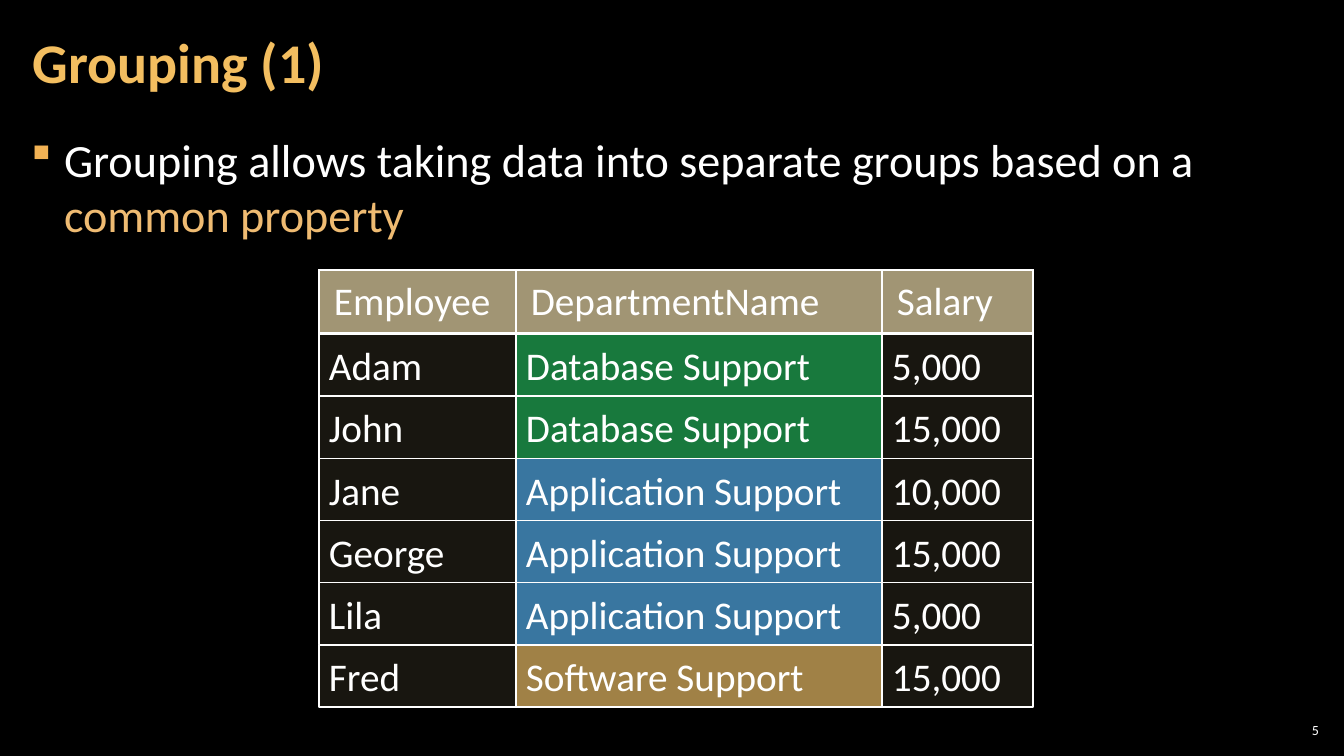
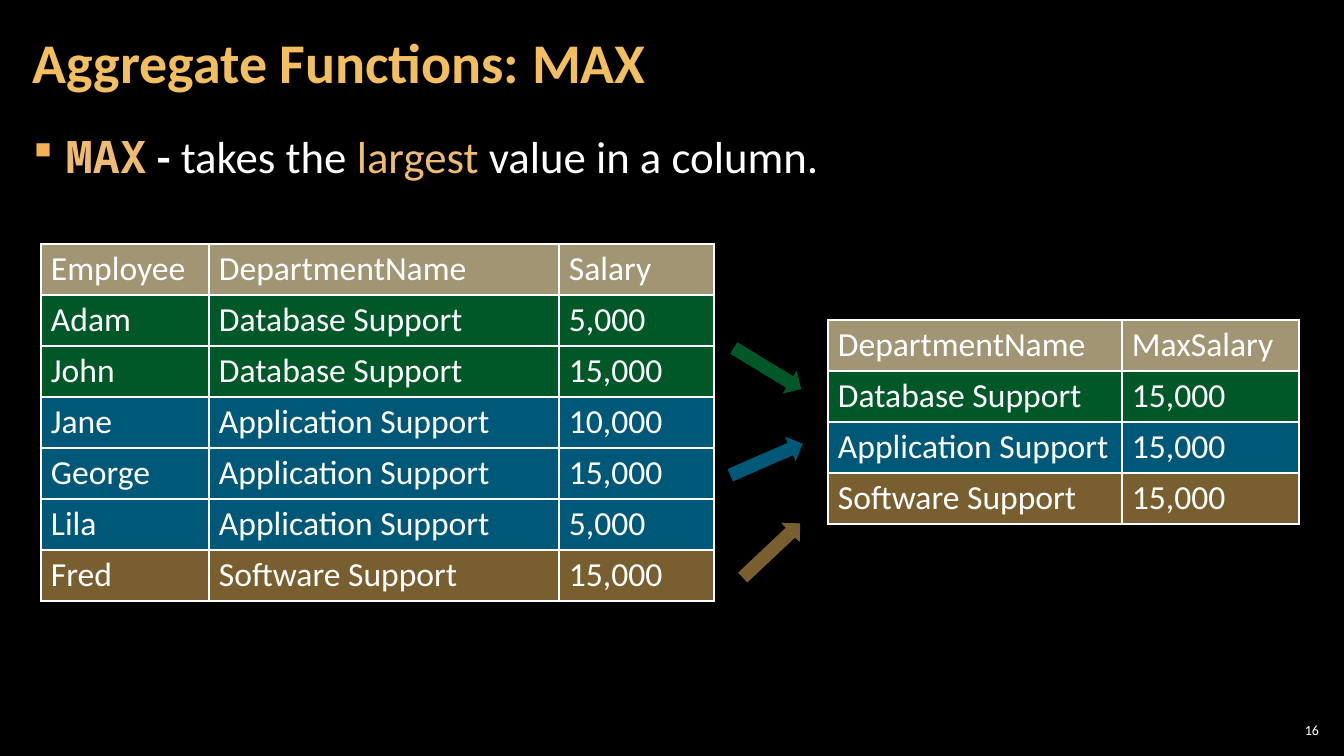
import pptx
import pptx.util
import pptx.dml.color
import pptx.enum.shapes
import pptx.enum.text
import pptx.oxml.ns
import lxml.etree
from dataclasses import dataclass
from itertools import accumulate, groupby


@dataclass(frozen=True)
class Theme:
    font: str = "Calibri"
    mono: str = "Noto Sans Mono"
    bullet_font: str = "Wingdings"
    background: str = "000000"
    text: str = "FFFFFF"
    title: str = "F3BE60"
    accent: str = "EFBB72"
    bullet: str = "F2B254"
    header: str = "A19574"
    veil: str = "7C7154"
    title_size: int = 40
    page_size: int = 10
    veil_opacity: int = 20
    band_opacity: int = 70
    row_opacity: int = 50


THEME = Theme()
WIDTH, HEIGHT = 1344, 756
PX = 12192000 / WIDTH

DATABASE, APPLICATION, SOFTWARE = (
    "Database Support", "Application Support", "Software Support")
BAND_COLORS = {DATABASE: "00B050", APPLICATION: "3BABFF", SOFTWARE: "F3BE60"}
ROW_COLORS = {DATABASE: "00B050", APPLICATION: "00B0F0", SOFTWARE: "F3BE60"}

EMPLOYEES = [
    ("Employee", "DepartmentName", "Salary"),
    ("Adam", DATABASE, "5,000"),
    ("John", DATABASE, "15,000"),
    ("Jane", APPLICATION, "10,000"),
    ("George", APPLICATION, "15,000"),
    ("Lila", APPLICATION, "5,000"),
    ("Fred", SOFTWARE, "15,000"),
]
MAXIMUMS = [
    ("DepartmentName", "MaxSalary"),
    (DATABASE, "15,000"),
    (APPLICATION, "15,000"),
    (SOFTWARE, "15,000"),
]
STAFF_COLUMNS = (197, 366, 151)

SLIDES = [
    {
        "title": "Grouping (1)",
        "page": "5",
        "body_at": (19, 127),
        "body_size": 33,
        "body": [
            ("Grouping allows taking data into separate groups based on a ", {}),
            ("common property", {"color": THEME.accent}),
        ],
        "tables": [
            {"at": (319, 270), "columns": STAFF_COLUMNS, "height": 63,
             "size": 28, "margins": (15, 8), "rows": EMPLOYEES[:1]},
        ],
        "banded_rows": [
            {"at": (319, 334), "columns": STAFF_COLUMNS, "height": 373,
             "size": 28, "rows": EMPLOYEES[1:]},
        ],
        "arrows": [],
    },
    {
        "title": "Aggregate Functions: MAX",
        "page": "16",
        "body_at": (21, 125),
        "body_size": 32,
        "body": [
            ("MAX", {"font": THEME.mono, "color": THEME.accent, "bold": True}),
            (" -", {"bold": True}),
            (" takes the ", {}),
            ("largest", {"color": THEME.accent}),
            (" value in a column.", {}),
        ],
        "tables": [
            {"at": (41, 244), "columns": (168, 350, 155), "height": 357,
             "size": 24, "margins": (10, 5), "rows": EMPLOYEES},
            {"at": (828, 320), "columns": (294, 177), "height": 204,
             "size": 24, "margins": (10, 5), "rows": MAXIMUMS},
        ],
        "banded_rows": [],
        "arrows": [
            (728, 355, 31.4, DATABASE),
            (727, 446, -23.6, APPLICATION),
            (732, 537, -43.3, SOFTWARE),
        ],
    },
]


def px(length):
    return pptx.util.Emu(round(length * PX))


def rgb(color):
    return pptx.dml.color.RGBColor.from_string(color)


def child(parent, tag, **attributes):
    return lxml.etree.SubElement(parent, pptx.oxml.ns.qn(tag), attributes)


def department_of(row):
    return next(text for text in row if text in ROW_COLORS)


def paint(fill, properties, color, opacity=100):
    fill.solid()
    fill.fore_color.rgb = rgb(color)
    if opacity < 100:
        tint = properties.find(".//" + pptx.oxml.ns.qn("a:srgbClr"))
        child(tint, "a:alpha", val=str(opacity * 1000))


def set_margins(target, across, down):
    target.margin_left = target.margin_right = px(across)
    target.margin_top = target.margin_bottom = px(down)


def add_span(para, text, size, color=THEME.text, font=THEME.font, bold=False):
    span = para.add_run()
    span.text = text
    span.font.name = font
    span.font.size = pptx.util.Pt(size)
    span.font.bold = bold
    span.font.color.rgb = rgb(color)


def add_box(page, left, top, width, height, across=12, anchor="MIDDLE"):
    box = page.shapes.add_textbox(px(left), px(top), px(width), px(height))
    frame = box.text_frame
    frame.word_wrap = True
    frame.vertical_anchor = getattr(pptx.enum.text.MSO_ANCHOR, anchor)
    set_margins(frame, across, 4)
    return frame.paragraphs[0]


def add_shape(shapes, kind, left, top, width, height, color, opacity):
    shape = shapes.add_shape(
        getattr(pptx.enum.shapes.MSO_SHAPE, kind),
        px(left), px(top), px(width), px(height))
    shape.shadow.inherit = False
    shape.line.fill.background()
    paint(shape.fill, shape._element.spPr, color, opacity)
    return shape


def add_title(page, text):
    para = add_box(page, 21, 4, 1055, 122)
    para.line_spacing = 0.9
    add_span(para, text, THEME.title_size, THEME.title, bold=True)


def add_page_number(page, text):
    para = add_box(page, 1275, 719, 48, 21, across=4)
    para.alignment = pptx.enum.text.PP_ALIGN.RIGHT
    add_span(para, text, THEME.page_size)


def add_body(page, at, size, spans):
    para = add_box(page, *at, 1301, 614, anchor="TOP")
    para.space_before = para.space_after = pptx.util.Pt(6)
    properties = para._p.get_or_add_pPr()
    properties.set("marL", str(px(33)))
    properties.set("indent", str(-px(33)))
    child(child(properties, "a:buClr"), "a:srgbClr", val=THEME.bullet)
    child(properties, "a:buFont", typeface=THEME.bullet_font)
    child(properties, "a:buChar", char="§")
    for text, style in spans:
        add_span(para, text, size, **style)


def add_borders(cell):
    properties = cell._tc.get_or_add_tcPr()
    for index, side in enumerate(("a:lnL", "a:lnR", "a:lnT", "a:lnB")):
        line = child(properties, side, w=str(pptx.util.Pt(1)))
        child(child(line, "a:solidFill"), "a:srgbClr", val=THEME.text)
        properties.insert(index, line)


def add_grid(page, at, columns, height, size, margins, rows):
    table = page.shapes.add_table(
        len(rows), len(columns), px(at[0]), px(at[1]),
        px(sum(columns)), px(height)).table
    table.first_row = table.horz_banding = False
    for column, width in zip(table.columns, columns):
        column.width = px(width)
    for row_index, row in enumerate(rows):
        table.rows[row_index].height = px(height / len(rows))
        if row_index == 0:
            color, opacity = THEME.header, 100
        else:
            color, opacity = ROW_COLORS[department_of(row)], THEME.row_opacity
        for column_index, text in enumerate(row):
            cell = table.cell(row_index, column_index)
            set_margins(cell, *margins)
            paint(cell.fill, cell._tc.get_or_add_tcPr(), color, opacity)
            add_borders(cell)
            add_span(cell.text_frame.paragraphs[0], text, size)


def add_banded_rows(page, at, columns, height, size, rows):
    left, top = at
    step = height / len(rows)
    lefts = list(accumulate(columns, initial=left))
    band_top = top
    for department, members in groupby(rows, department_of):
        band_height = step * len(list(members))
        add_shape(page.shapes, "RECTANGLE", lefts[1], band_top, columns[1],
                  band_height, BAND_COLORS[department], THEME.band_opacity)
        band_top += band_height
    for column_left, width, texts in zip(lefts, columns, zip(*rows)):
        group = page.shapes.add_group_shape()
        for index, text in enumerate(texts):
            box = add_shape(group.shapes, "RECTANGLE", column_left,
                            top + index * step, width, step,
                            THEME.veil, THEME.veil_opacity)
            box.line.color.rgb = rgb(THEME.text)
            box.line.width = pptx.util.Pt(1)
            frame = box.text_frame
            frame.word_wrap = True
            frame.vertical_anchor = pptx.enum.text.MSO_ANCHOR.MIDDLE
            set_margins(frame, 10, 5)
            para = frame.paragraphs[0]
            para.alignment = pptx.enum.text.PP_ALIGN.LEFT
            add_span(para, text, size)


def add_arrow(page, left, top, angle, department):
    arrow = add_shape(page.shapes, "RIGHT_ARROW", left, top, 79, 27,
                      ROW_COLORS[department], THEME.row_opacity)
    arrow.rotation = angle


def main():
    deck = pptx.Presentation()
    deck.slide_width, deck.slide_height = px(WIDTH), px(HEIGHT)
    for content in SLIDES:
        page = deck.slides.add_slide(deck.slide_layouts[6])
        page.background.fill.solid()
        page.background.fill.fore_color.rgb = rgb(THEME.background)
        add_title(page, content["title"])
        add_body(page, content["body_at"], content["body_size"], content["body"])
        for grid in content["tables"]:
            add_grid(page, **grid)
        for banded in content["banded_rows"]:
            add_banded_rows(page, **banded)
        for arrow in content["arrows"]:
            add_arrow(page, *arrow)
        add_page_number(page, content["page"])
    deck.save("out.pptx")


if __name__ == "__main__":
    main()
